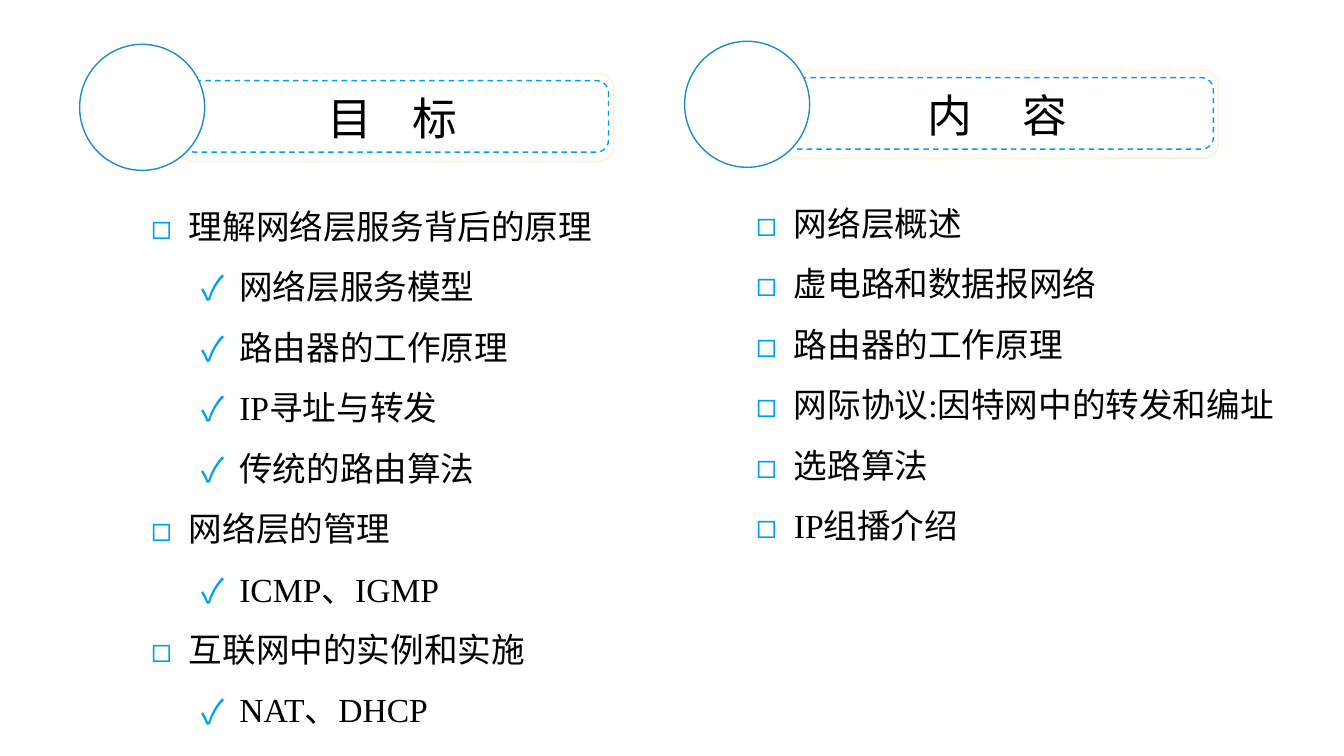
import pptx
import pptx.util
import pptx.dml.color
import pptx.enum.dml
import pptx.enum.shapes
import pptx.enum.text
import lxml.etree

deck = pptx.Presentation()
deck.slide_width = pptx.util.Inches(13.33)
deck.slide_height = pptx.util.Inches(7.5)
col = deck.slide_width / 133.3
row = deck.slide_height / 75
slide = deck.slides.add_slide(deck.slide_layouts[6])

hues = {"ink": "000000", "fill": "FFFFFF", "rim": "FEF1D6",
        "dash": "009FF6", "ring": "1F8ACF", "mark": "009FF6"}
sans = "Noto Sans CJK SC"
serif = "Times New Roman"
kinds = pptx.enum.shapes.MSO_SHAPE
marks = ["◻", "✓"]

sides = [
    {"left": 67.9, "top": 4.1, "head": "内容", "gap": 28.8, "list": [
        (0, "网络层概述"), (0, "虚电路和数据报网络"), (0, "路由器的工作原理"),
        (0, "网际协议:因特网中的转发和编址"), (0, "选路算法"), (0, "IP组播介绍")]},
    {"left": 7.9, "top": 4.4, "head": "目标", "gap": 21.6, "list": [
        (0, "理解网络层服务背后的原理"), (1, "网络层服务模型"),
        (1, "路由器的工作原理"), (1, "IP寻址与转发"), (1, "传统的路由算法"),
        (0, "网络层的管理"), (1, "ICMP、IGMP"),
        (0, "互联网中的实例和实施"), (1, "NAT、DHCP")]},
]


def draw(kind, box, hue, fill=None):
    x, y, w, h = box
    place = [round(n) for n in (x * col, y * row, w * col, h * row)]
    if kind is None:
        item = slide.shapes.add_textbox(*place)
        item.text_frame.word_wrap = True
        return item
    item = slide.shapes.add_shape(kind, *place)
    item.shadow.inherit = False
    if fill:
        item.fill.solid()
        item.fill.fore_color.rgb = pptx.dml.color.RGBColor.from_string(hues[fill])
    else:
        item.fill.background()
    item.line.color.rgb = pptx.dml.color.RGBColor.from_string(hues[hue])
    item.line.width = pptx.util.Pt(1)
    return item


def write(para, text, size, face):
    run = para.add_run()
    run.text = text
    run.font.size = pptx.util.Pt(size)
    run.font.name = face
    run.font.color.rgb = pptx.dml.color.RGBColor.from_string(hues["ink"])
    props = run.font._element
    east = lxml.etree.SubElement(props, pptx.oxml.ns.qn("a:ea"))
    east.set("typeface", sans)
    return props


for side in sides:
    x, y = side["left"], side["top"]
    draw(kinds.ROUNDED_RECTANGLE, (x + 9.75, y + 2.9, 43.2, 8.7), "rim", "fill")

    head = draw(None, (x + 10.3, y + 4.15, 41.4, 6.4), "ink")
    para = head.text_frame.paragraphs[0]
    para.alignment = pptx.enum.text.PP_ALIGN.CENTER
    first, last = side["head"]
    write(para, first, 32, sans)
    write(para, " ", 32, sans).set("spc", str(round(side["gap"] * 100)))
    write(para, last, 32, sans)

    frame = draw(kinds.ROUNDED_RECTANGLE, (x + 10.25, y + 3.6, 42.2, 7.1), "dash")
    frame.line.dash_style = pptx.enum.dml.MSO_LINE.DASH

    rows = len(side["list"])
    body = draw(None, (x + 6.1, y + 13.5, 53.9, 6 * rows + 1), "ink")
    for i, (level, text) in enumerate(side["list"]):
        para = body.text_frame.paragraphs[0] if i == 0 else body.text_frame.add_paragraph()
        para.level = level
        props = para._p.get_or_add_pPr()
        props.set("marL", str(round((3.75 + 5 * level) * col)))
        props.set("indent", str(round(-3.75 * col)))
        tint = lxml.etree.SubElement(props, pptx.oxml.ns.qn("a:buClr"))
        lxml.etree.SubElement(tint, pptx.oxml.ns.qn("a:srgbClr")).set("val", hues["mark"])
        lxml.etree.SubElement(props, pptx.oxml.ns.qn("a:buFont")).set("typeface", sans)
        lxml.etree.SubElement(props, pptx.oxml.ns.qn("a:buChar")).set("char", marks[level])
        para.line_spacing = 1.5
        write(para, text, 24, serif)

    draw(kinds.OVAL, (x, y, 12.4, 12.5), "ring", "fill")

deck.save("out.pptx")
